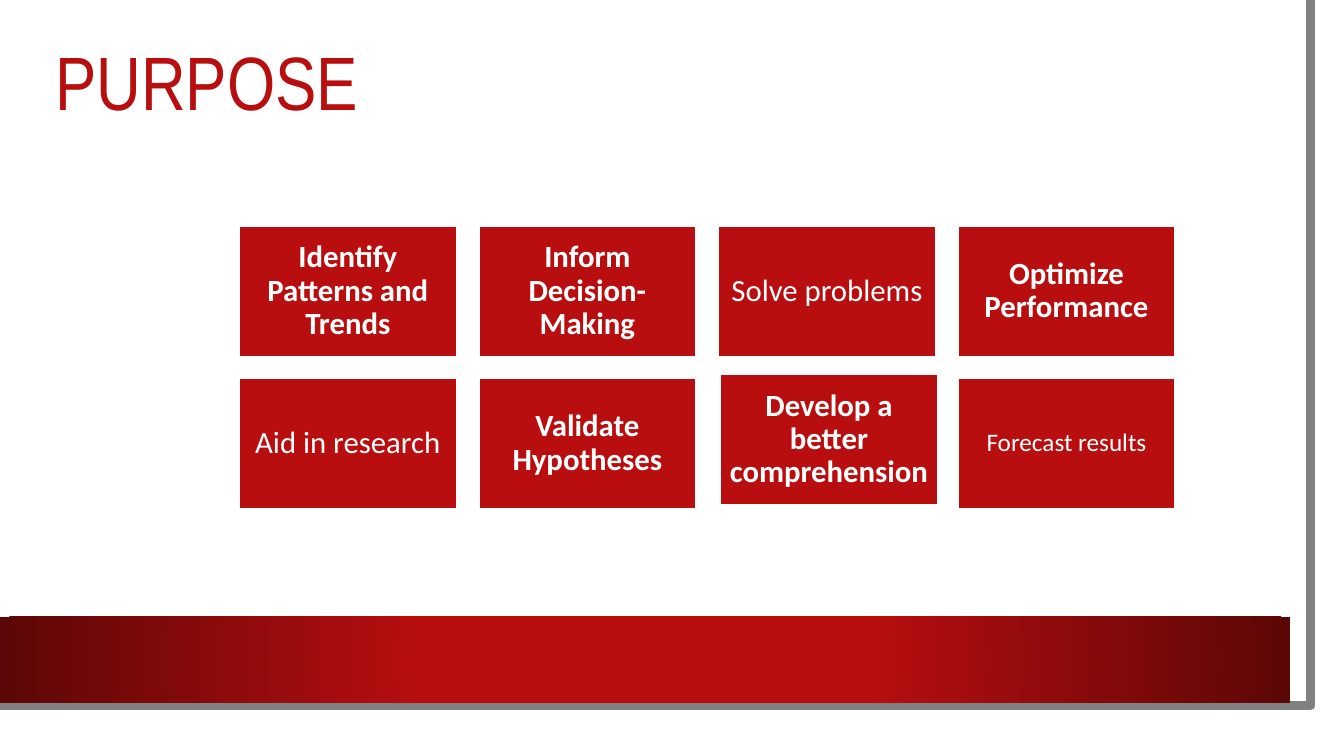
from dataclasses import dataclass

from lxml import etree
from pptx import Presentation
from pptx import util as u
from pptx.dml.color import RGBColor
from pptx.enum import shapes, text
from pptx.oxml import parse_xml
from pptx.oxml.ns import nsdecls, qn


@dataclass(frozen=True)
class Theme:
    red: str = "B80E0F"
    dark_red: str = "5C0707"
    white: str = "FFFFFF"
    gray: str = "808080"
    title_font: str = "Arial Narrow"
    body_font: str = "Calibri"
    title_size: int = 54
    card_size: int = 22
    small_size: int = 18


THEME = Theme()
SLIDE_SIZE = (13.33, 7.5)
GRID_LEFT, GRID_TOP = 2.37, 2.24
CARD_SIZE = (2.16, 1.3)
COLUMN_STEP, ROW_STEP = 2.376, 1.51
COLUMNS = 4
NUDGE = (0.02, -0.04)

# Wording, bold, type size, inset, offset from the grid
CARDS = [
    ("Identify Patterns and Trends", True, THEME.card_size, 0.09, (0, 0)),
    ("Inform Decision-Making", True, THEME.card_size, 0.09, (0, 0)),
    ("Solve problems", False, THEME.card_size, 0.09, (0, 0)),
    ("Optimize Performance", True, THEME.card_size, 0.09, (0, 0)),
    ("Aid in research", False, THEME.card_size, 0.09, (0, 0)),
    ("Validate Hypotheses", True, THEME.card_size, 0.09, (0, 0)),
    ("Develop a better comprehension", True, THEME.card_size, 0.09, NUDGE),
    ("Forecast results", False, THEME.small_size, 0.07, (0, 0)),
]


def color(value):
    return RGBColor.from_string(value)


def inches(*lengths):
    return [u.Inches(length) for length in lengths]


def add_rectangle(slide, box, fill, line=None):
    shape = slide.shapes.add_shape(shapes.MSO_SHAPE.RECTANGLE, *inches(*box))
    shape.shadow.inherit = False
    shape.fill.solid()
    shape.fill.fore_color.rgb = color(fill)
    if line:
        shape.line.color.rgb = color(line)
        shape.line.width = u.Pt(1.5)
    else:
        shape.line.fill.background()
    return shape


def write(shape, wording, font, size, ink, bold=False, align=text.PP_ALIGN.LEFT):
    frame = shape.text_frame
    frame.text = wording
    frame.word_wrap = True
    frame.vertical_anchor = text.MSO_ANCHOR.MIDDLE
    paragraph = frame.paragraphs[0]
    paragraph.alignment = align
    paragraph.line_spacing = 0.9
    run = paragraph.runs[0]
    run.font.name = font
    run.font.size = u.Pt(size)
    run.font.bold = bold
    run.font.color.rgb = color(ink)


def add_page_edge(slide):
    builder = slide.shapes.build_freeform(12.82, 0, scale=u.Inches(1))
    builder.add_line_segments([(12.85, 7.02), (-0.03, 7.01)], close=False)
    edge = builder.convert_to_shape()
    edge.shadow.inherit = False
    edge.fill.background()
    edge.line.color.rgb = color(THEME.gray)
    edge.line.width = u.Pt(6.5)


def add_band(slide):
    """Add the bottom band, which darkens outwards from its centre."""
    band = add_rectangle(slide, (0, 6.12, 12.8, 0.85), THEME.red)
    band.fill.gradient()
    stops = zip(band.fill.gradient_stops, (0.34, 1), (THEME.red, THEME.dark_red))
    for stop, position, value in stops:
        stop.position = position
        stop.color.rgb = color(value)
    gradient = band.fill._xPr.find(qn("a:gradFill"))
    circle = parse_xml(f'<a:path {nsdecls("a")} path="circle"/>')
    etree.SubElement(circle, qn("a:fillToRect"),
                     {side: "50000" for side in "ltrb"})
    gradient.replace(gradient.find(qn("a:lin")), circle)


def add_title(slide, wording):
    title = slide.shapes.add_textbox(*inches(0.45, 0.25, 11.67, 1.2))
    write(title, wording, THEME.title_font, THEME.title_size, THEME.red)


def add_card(slide, index, wording, bold, size, inset, offset):
    row, column = divmod(index, COLUMNS)
    left = GRID_LEFT + column * COLUMN_STEP + offset[0]
    top = GRID_TOP + row * ROW_STEP + offset[1]
    card = add_rectangle(slide, (left, top, *CARD_SIZE), THEME.red, THEME.white)
    frame = card.text_frame
    frame.margin_left = frame.margin_right = u.Inches(inset)
    frame.margin_top = frame.margin_bottom = u.Inches(inset)
    write(card, wording, THEME.body_font, size, THEME.white, bold,
          text.PP_ALIGN.CENTER)


def main():
    presentation = Presentation()
    presentation.slide_width, presentation.slide_height = inches(*SLIDE_SIZE)
    slide = presentation.slides.add_slide(presentation.slide_layouts[6])
    add_rectangle(slide, (0, 0, 13.1, 7.27), THEME.white)
    add_page_edge(slide)
    add_band(slide)
    add_title(slide, "PURPOSE")
    for index, card in enumerate(CARDS):
        add_card(slide, index, *card)
    presentation.save("out.pptx")


if __name__ == "__main__":
    main()
